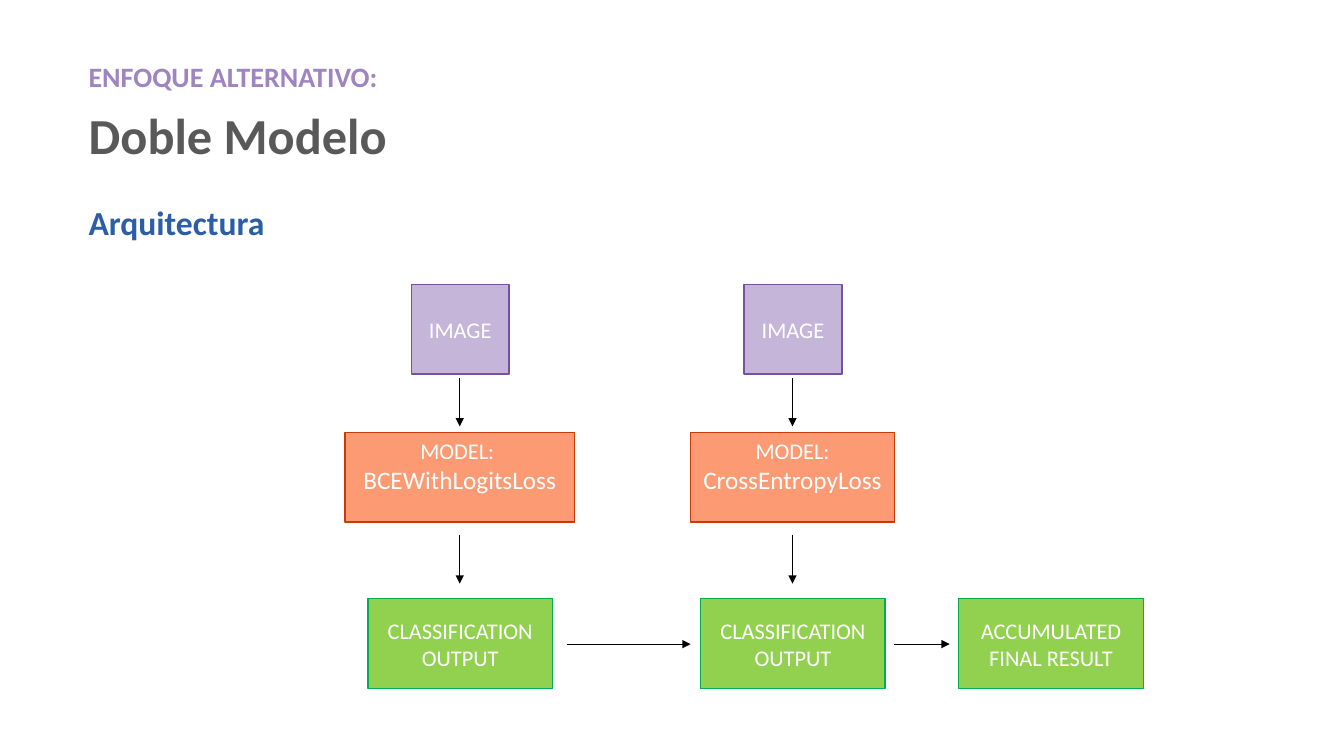
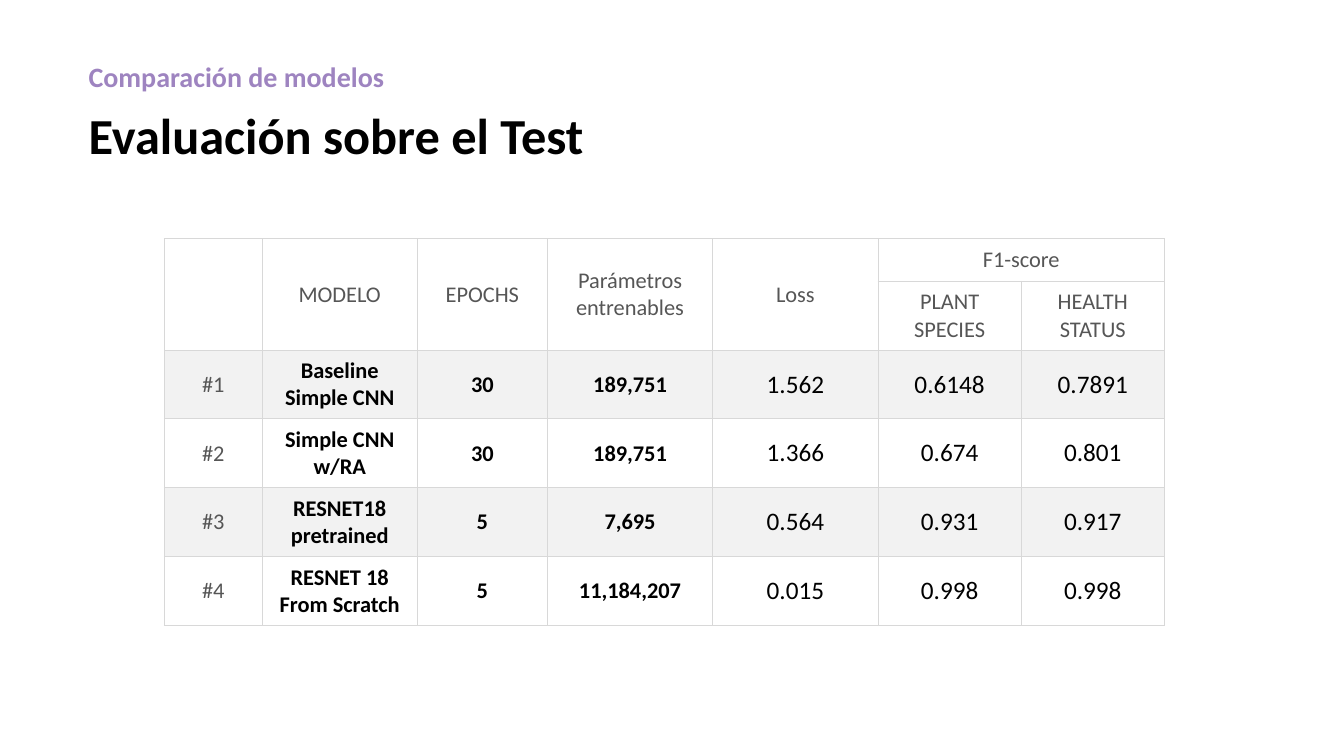
from lxml import etree
from pptx import Presentation
from pptx import util as u
from pptx.dml.color import RGBColor
from pptx.enum import shapes, text
from pptx.oxml import ns

PX = 9144
FONT = "Calibri"
BLACK = RGBColor(0x00, 0x00, 0x00)
WHITE = RGBColor(0xFF, 0xFF, 0xFF)
GRAY = RGBColor(0x59, 0x59, 0x59)
SLATE = RGBColor(0x56, 0x56, 0x56)
BLUE = RGBColor(0x2C, 0x5E, 0xA6)
LILAC = RGBColor(0x9E, 0x84, 0xC0)
BAND = RGBColor(0xF2, 0xF2, 0xF2)
RULE = RGBColor(0xD8, 0xD8, 0xD8)
IMAGE = (RGBColor(0xC4, 0xB5, 0xD9), RGBColor(0x74, 0x52, 0x9F))
MODEL = (RGBColor(0xFC, 0x9A, 0x73), RGBColor(0xC8, 0x3C, 0x04))
OUTPUT = (RGBColor(0x92, 0xD0, 0x50), RGBColor(0x00, 0xB0, 0x50))

LEFT, WIDE = 78, 600
HIGH = 89
CENTER = text.PP_ALIGN.CENTER
MIDDLE = text.MSO_ANCHOR.MIDDLE
TOP = text.MSO_ANCHOR.TOP


def px(*sizes):
    return [u.Emu(size * PX) for size in sizes]


def assign(target, values):
    for name, value in values.items():
        setattr(target, name, value)


def node(parent, tag, **values):
    return etree.SubElement(parent, ns.qn(tag), values)


class Deck:
    def __init__(self):
        self.show = Presentation()
        self.show.slide_width, self.show.slide_height = px(1333, 750)
        self.slide = None

    def fill_text(self, frame, lines, color, size=16, bold=False, align=CENTER):
        for index, line in enumerate(lines):
            para = frame.add_paragraph() if index else frame.paragraphs[0]
            words, points = line if isinstance(line, tuple) else (line, size)
            para.alignment = align
            run = para.add_run()
            run.text = words
            assign(run.font, {"name": FONT, "size": u.Pt(points), "bold": bold})
            run.font.color.rgb = color

    def head(self, shape, words, color, size):
        frame = shape.text_frame
        assign(frame, {"word_wrap": True, "vertical_anchor": TOP,
                       "auto_size": text.MSO_AUTO_SIZE.NONE})
        self.fill_text(frame, [words], color, size, True, text.PP_ALIGN.LEFT)

    def label(self, top, high, words, color, size):
        box = self.slide.shapes.add_textbox(*px(LEFT, top, WIDE, high))
        self.head(box, words, color, size)

    def start(self, over, title, color):
        self.slide = self.show.slides.add_slide(self.show.slide_layouts[5])
        holder = self.slide.shapes.title
        left, top, width, height = px(LEFT, 98, WIDE, 71)
        assign(holder, {"left": left, "top": top, "width": width, "height": height})
        self.head(holder, title, color, 36)
        self.label(54, 44, over, LILAC, 20)

    def box(self, mid, top, wide, lines, look, anchor=MIDDLE):
        shape = self.slide.shapes.add_shape(
            shapes.MSO_SHAPE.RECTANGLE, *px(mid - wide // 2, top, wide, HIGH))
        shape.shadow.inherit = False
        shape.fill.solid()
        shape.fill.fore_color.rgb, shape.line.color.rgb = look
        shape.line.width = u.Pt(1)
        assign(shape.text_frame, {"word_wrap": True, "vertical_anchor": anchor})
        self.fill_text(shape.text_frame, lines, WHITE)

    def arrow(self, *ends):
        link = self.slide.shapes.add_connector(shapes.MSO_CONNECTOR.STRAIGHT, *px(*ends))
        link.line.width = u.Pt(0.5)
        link.line.color.rgb = BLACK
        props = link.element.spPr
        node(props.find(ns.qn("a:ln")), "a:tailEnd", type="triangle")
        node(props, "a:effectLst")

    def cell(self, cell, lines, fill, **style):
        left, top = px(10, 7)
        assign(cell, {"margin_left": left, "margin_right": left, "margin_top": top,
                      "margin_bottom": top, "vertical_anchor": MIDDLE})
        props = cell._tc.get_or_add_tcPr()
        for side in "LRTB":
            edge = node(props, f"a:ln{side}", w=str(u.Pt(0.75)))
            node(node(edge, "a:solidFill"), "a:srgbClr", val=str(RULE))
        cell.fill.solid()
        cell.fill.fore_color.rgb = fill
        if lines:
            self.fill_text(cell.text_frame, lines, **style)

    def table(self, left, top, cols, rows, data, spans):
        frame = self.slide.shapes.add_table(
            len(rows), len(cols), *px(left, top, sum(cols), sum(rows)))
        grid = frame.table
        assign(grid, {"first_row": False, "horz_banding": False})
        for col, wide in zip(grid.columns, px(*cols)):
            col.width = wide
        for row, high in zip(grid.rows, px(*rows)):
            row.height = high
        for first, last in spans:
            grid.cell(*first).merge(grid.cell(*last))
        for r, row in enumerate(data):
            for c, words in enumerate(row):
                if r < 2 or c == 0:
                    style = {"color": SLATE}
                elif c < 4:
                    style = {"color": BLACK, "bold": True}
                else:
                    style = {"color": BLACK, "size": 18}
                fill = BAND if r in (2, 4) else WHITE
                self.cell(grid.cell(r, c), words.splitlines(), fill, **style)


def main():
    deck = Deck()

    deck.start("ENFOQUE ALTERNATIVO:", "Doble Modelo", GRAY)
    deck.label(195, 50, "Arquitectura", BLUE, 24)
    flows = [(456, 228, "MODEL: ", "BCEWithLogitsLoss"),
             (786, 202, "MODEL:", "CrossEntropyLoss")]
    for mid, wide, kind, loss in flows:
        deck.box(mid, 282, 97, ["IMAGE"], IMAGE)
        deck.box(mid, 429, wide, [kind, (loss, 18)], MODEL, TOP)
        deck.box(mid, 594, 183, ["CLASSIFICATION OUTPUT"], OUTPUT)
        for top in (375, 531):
            deck.arrow(mid, top, mid, top + 48)
    deck.box(1042, 594, 183, ["ACCUMULATED FINAL RESULT"], OUTPUT)
    for start, end in ((562, 685), (887, 942)):
        deck.arrow(start, 639, end, 639)

    deck.start("Comparación de modelos", "Evaluación sobre el Test", BLACK)
    data = [
        ("", "MODELO", "EPOCHS", "Parámetros entrenables", "Loss", "F1-score", ""),
        ("", "", "", "", "", "PLANT SPECIES", "HEALTH STATUS"),
        ("#1", "Baseline Simple CNN", "30", "189,751", "1.562", "0.6148", "0.7891"),
        ("#2", "Simple CNN w/RA", "30", "189,751", "1.366", "0.674", "0.801"),
        ("#3", "RESNET18 pretrained", "5", "7,695", "0.564", "0.931", "0.917"),
        ("#4", "RESNET 18\nFrom Scratch", "5", "11,184,207", "0.015", "0.998", "0.998"),
    ]
    spans = [((0, c), (1, c)) for c in range(5)] + [((0, 5), (0, 6))]
    deck.table(163, 237, [97, 154, 129, 164, 164, 142, 142],
               [42] + [68] * 5, data, spans)

    deck.show.save("out.pptx")


if __name__ == "__main__":
    main()
